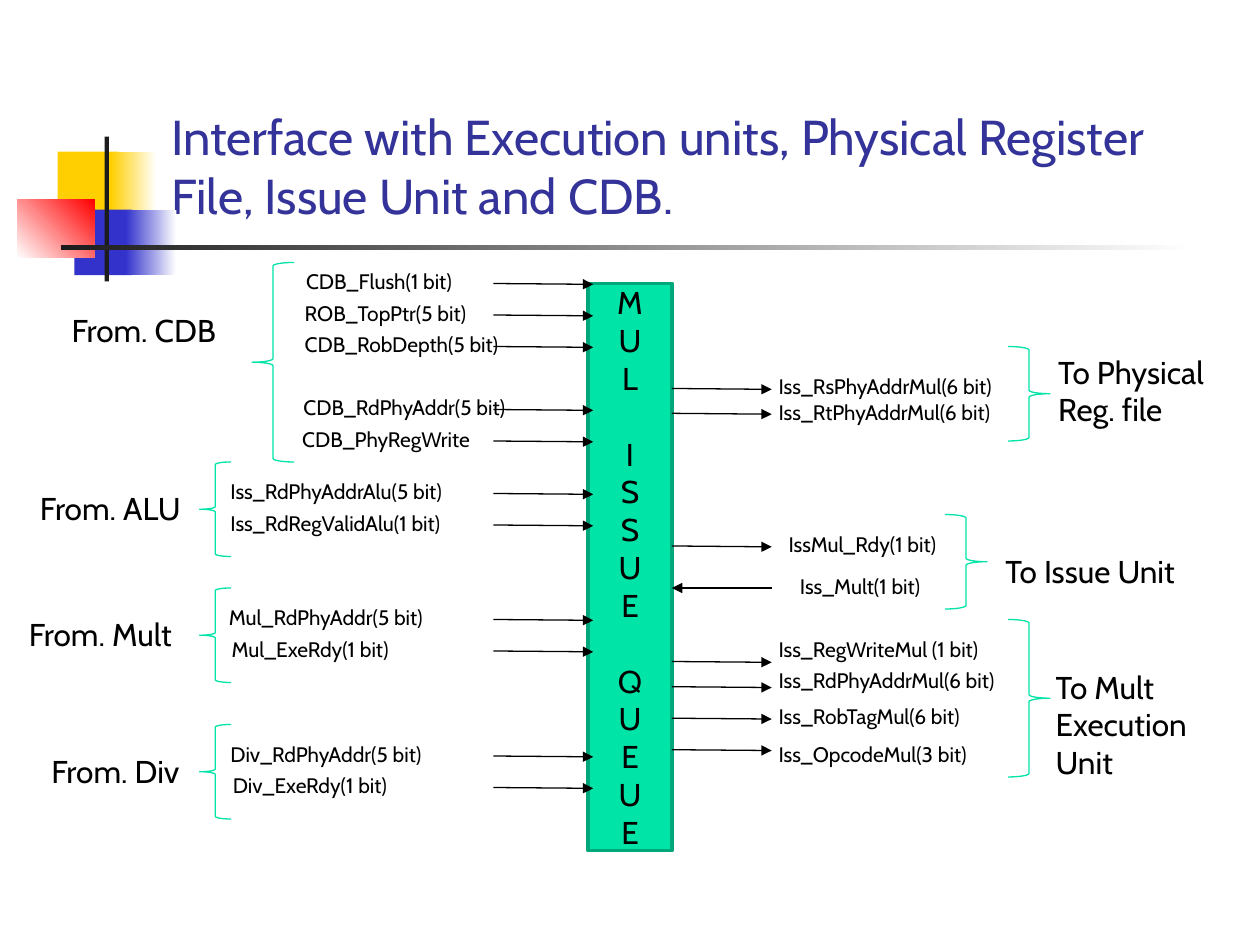
from lxml import etree
from pptx import Presentation
from pptx.dml.color import RGBColor
from pptx.enum import shapes, text
from pptx.oxml import ns
from pptx.util import Pt

FONT = "Cabin"
BLACK = RGBColor(0x00, 0x00, 0x00)
WHITE = RGBColor(0xFF, 0xFF, 0xFF)
YELLOW = RGBColor(0xFF, 0xCF, 0x01)
BLUE = RGBColor(0x33, 0x33, 0xCC)
RED = RGBColor(0xFF, 0x00, 0x00)
DARK = RGBColor(0x1C, 0x1C, 0x1C)
TITLE = RGBColor(0x33, 0x33, 0x99)
GREEN = RGBColor(0x00, 0xE4, 0xA8)
GREEN_EDGE = RGBColor(0x00, 0xA7, 0x7A)
SHAPE = shapes.MSO_SHAPE

LEFT_GROUPS = [
    ((144, 150, 24, 114), ("From. CDB", 33.8, 24, 104), [
        ("CDB_Flush(1 bit)", 167.8, 0, 106), ("ROB_TopPtr(5 bit)", 167, 18, 114),
        ("CDB_RobDepth(5 bit)", 167, 36, 132), ("CDB_RdPhyAddr(5 bit)", 166.3, 72, 139),
        ("CDB_PhyRegWrite", 165.6, 90, 117)]),
    ((114, 264, 18, 54), ("From. ALU", 15.8, 12, 102), [
        ("Iss_RdPhyAddrAlu(5 bit)", 124.6, 6, 148), ("Iss_RdRegValidAlu(1 bit)", 124.6, 24, 149)]),
    ((114, 336, 18, 54), ("From. Mult", 9.4, 12, 107), [
        ("Mul_RdPhyAddr(5 bit)", 123.8, 6, 136), ("Mul_ExeRdy(1 bit)", 125.3, 24, 114)]),
    ((114, 414, 18, 54), ("From. Div", 22.3, 12, 95), [
        ("Div_RdPhyAddr(5 bit)", 124.6, 6, 132), ("Div_ExeRdy(1 bit)", 126, 24, 110)]),
]
RIGHT_GROUPS = [
    ((576, 198, 24, 54), (["To Physical", "Reg. file"], 597.6, 0, 112), [
        ("Iss_RsPhyAddrMul(6 bit)", 437.8, 12, 146, 24, True),
        ("Iss_RtPhyAddrMul(6 bit)", 437.8, 26.6, 145, 38.2, True)]),
    ((540, 294, 24, 54), (["To Issue Unit"], 567.4, 18, 125), [
        ("IssMul_Rdy(1 bit)", 443.5, 6, 109, 18, True),
        ("Iss_Mult(1 bit)", 450, 30, 93, 42, False)]),
    ((576, 354, 24, 90), (["To Mult", "Execution", "Unit"], 596.2, 24, 102), [
        ("Iss_RegWriteMul (1 bit)", 437.8, 6, 141, 24, True),
        ("Iss_RdPhyAddrMul(6 bit)", 437.8, 24, 148, 38.4, True),
        ("Iss_RobTagMul(6 bit)", 437.8, 44.2, 132, 56.4, True),
        ("Iss_OpcodeMul(3 bit)", 437.8, 66, 133, 74.4, True)]),
]


def add_box(s, kind, x, y, w, h):
    """Add a preset shape without shadow, fill or line."""
    sp = s.shapes.add_shape(kind, Pt(x), Pt(y), Pt(w), Pt(h))
    sp.shadow.inherit = False
    sp.fill.background()
    sp.line.fill.background()
    return sp


def add_label(s, lines, x, y, w, size):
    """Add a text box with one paragraph for each line."""
    sp = s.shapes.add_textbox(Pt(x), Pt(y), Pt(w), Pt(7.2 + 1.2 * size * len(lines)))
    tf = sp.text_frame
    tf.word_wrap = True
    tf.text = "\n".join(lines)
    for p in tf.paragraphs:
        set_font(p, size, BLACK)


def set_font(p, size, color):
    """Set the font of a paragraph."""
    p.font.name = FONT
    p.font.size = Pt(size)
    p.font.color.rgb = color


def add_arrow(s, x1, x2, y):
    """Add a thin arrow pointing to x2."""
    drop = 0.5 if x2 > x1 else 0
    c = s.shapes.add_connector(shapes.MSO_CONNECTOR.STRAIGHT, Pt(x1), Pt(y), Pt(x2), Pt(y + drop))
    c.line.color.rgb = BLACK
    c.line.width = Pt(0.75)
    etree.SubElement(c.line._get_or_add_ln(), ns.qn("a:tailEnd"), type="triangle")
    etree.SubElement(c._element.spPr, ns.qn("a:effectLst"))


def add_brace(s, kind, box):
    """Add a green brace that fills the box."""
    sp = add_box(s, kind, *box)
    sp.line.color.rgb = GREEN
    sp.line.width = Pt(0.75)


def add_ornament(s, x, y):
    """Draw the coloured squares and the two rules beside the title."""
    parts = [
        (23, 8.6, 34.6, 37.4, YELLOW, None, 0), (53.4, 8.6, 25.9, 37.4, YELLOW, WHITE, 0),
        (32.5, 41.8, 33, 37.4, BLUE, None, 0), (62, 41.8, 28.8, 37.4, BLUE, WHITE, 0),
        (0, 36, 44, 33.4, WHITE, RED, 45), (49.8, 0, 2.4, 82.8, DARK, None, 0),
        (24.6, 62.2, 648, 2.4, DARK, WHITE, 0),
    ]
    for dx, dy, w, h, start, end, angle in parts:
        fill = add_box(s, SHAPE.RECTANGLE, x + dx, y + dy, w, h).fill
        if end is None:
            fill.solid()
            fill.fore_color.rgb = start
            continue
        fill.gradient()
        fill.gradient_angle = angle
        for stop, color, position in zip(fill.gradient_stops, (start, end), (0, 1)):
            stop.color.rgb = color
            stop.position = position


def add_title(s, x, y, w, h):
    """Fill and place the title placeholder."""
    sp = s.shapes.title
    sp.left, sp.top, sp.width, sp.height = Pt(x), Pt(y), Pt(w), Pt(h)
    tf = sp.text_frame
    tf.text = "Interface with Execution units, Physical Register File, Issue Unit and CDB."
    tf.word_wrap = True
    tf.auto_size = text.MSO_AUTO_SIZE.NONE
    tf.vertical_anchor = text.MSO_ANCHOR.BOTTOM
    p = tf.paragraphs[0]
    p.alignment = text.PP_ALIGN.LEFT
    set_font(p, 28, TITLE)


def add_queue(s, x, y, w, h):
    """Draw the queue block with its name set one letter a line."""
    sp = add_box(s, SHAPE.RECTANGLE, x, y, w, h)
    sp.fill.solid()
    sp.fill.fore_color.rgb = GREEN
    sp.line.color.rgb = GREEN_EDGE
    sp.line.width = Pt(2)
    words = ["MUL", "ISSUE", "QUEUE"]
    tf = sp.text_frame
    tf.vertical_anchor = text.MSO_ANCHOR.MIDDLE
    tf.text = "\n".join("".join(words))
    for p in tf.paragraphs:
        p.alignment = text.PP_ALIGN.CENTER
        set_font(p, 18, BLACK)
    for i in (len(words[0]), len(words[0] + words[1])):
        tf.paragraphs[i].space_before = Pt(21.7)


def add_left_group(s, box, name, signals):
    """Place a source unit, its brace and its signals into the queue."""
    top = box[1]
    add_brace(s, SHAPE.LEFT_BRACE, box)
    label, x, dy, w = name
    add_label(s, [label], x, top + dy, w, 18)
    for label, x, dy, w in signals:
        add_label(s, [label], x, top + dy, w, 12)
        add_arrow(s, 282, 339, top + dy + 12)


def add_right_group(s, box, name, signals):
    """Place a target unit, its brace and its signals to or from the queue."""
    top = box[1]
    add_brace(s, SHAPE.RIGHT_BRACE, box)
    lines, x, dy, w = name
    add_label(s, lines, x, top + dy, w, 18)
    for label, x, dy, w, arrow_dy, outward in signals:
        add_label(s, [label], x, top + dy, w, 12)
        ends = (384, 441) if outward else (441, 384)
        add_arrow(s, *ends, top + arrow_dy)


def main():
    """Build the slide and save it."""
    prs = Presentation()
    prs.slide_width, prs.slide_height = Pt(720), Pt(540)
    s = prs.slides.add_slide(prs.slide_layouts[5])
    add_ornament(s, 10, 78)
    add_title(s, 90.7, 16.6, 613.4, 115.2)
    add_queue(s, 336, 162, 48, 324)
    for group in LEFT_GROUPS:
        add_left_group(s, *group)
    for group in RIGHT_GROUPS:
        add_right_group(s, *group)
    prs.save("out.pptx")


if __name__ == "__main__":
    main()
